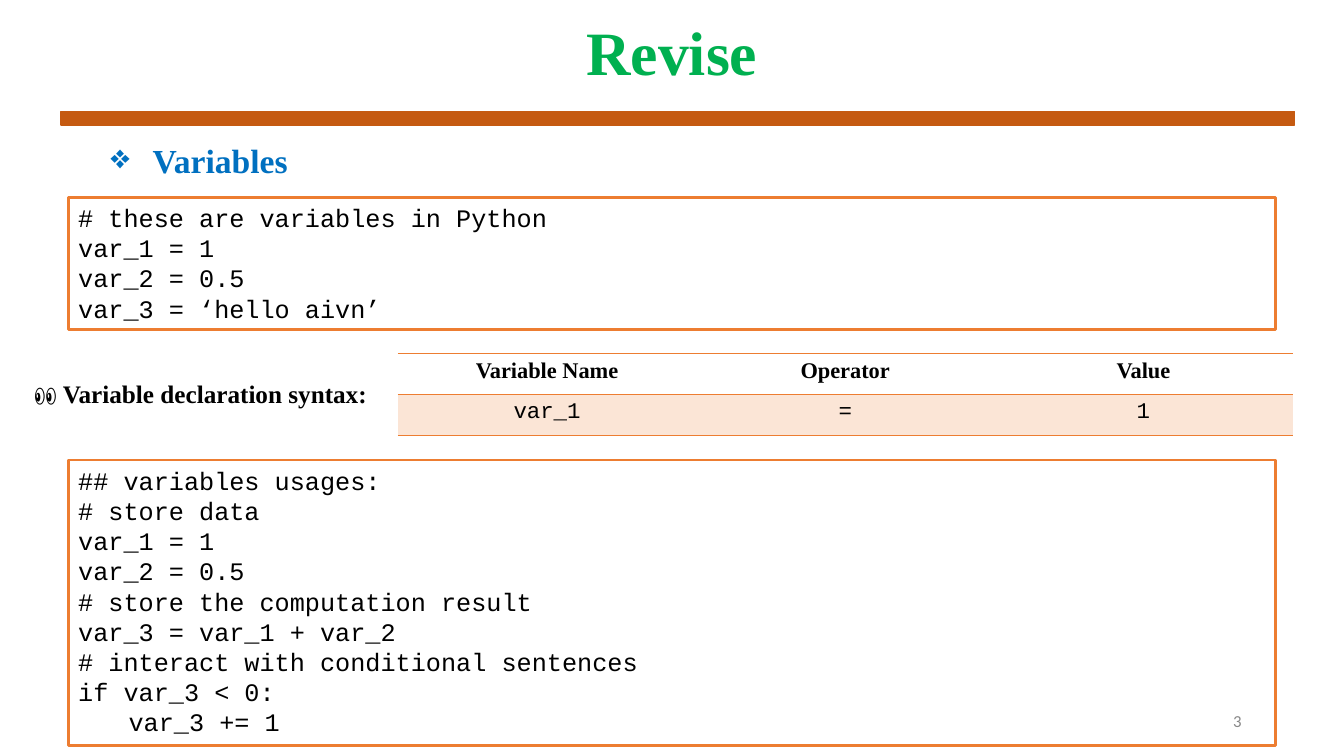
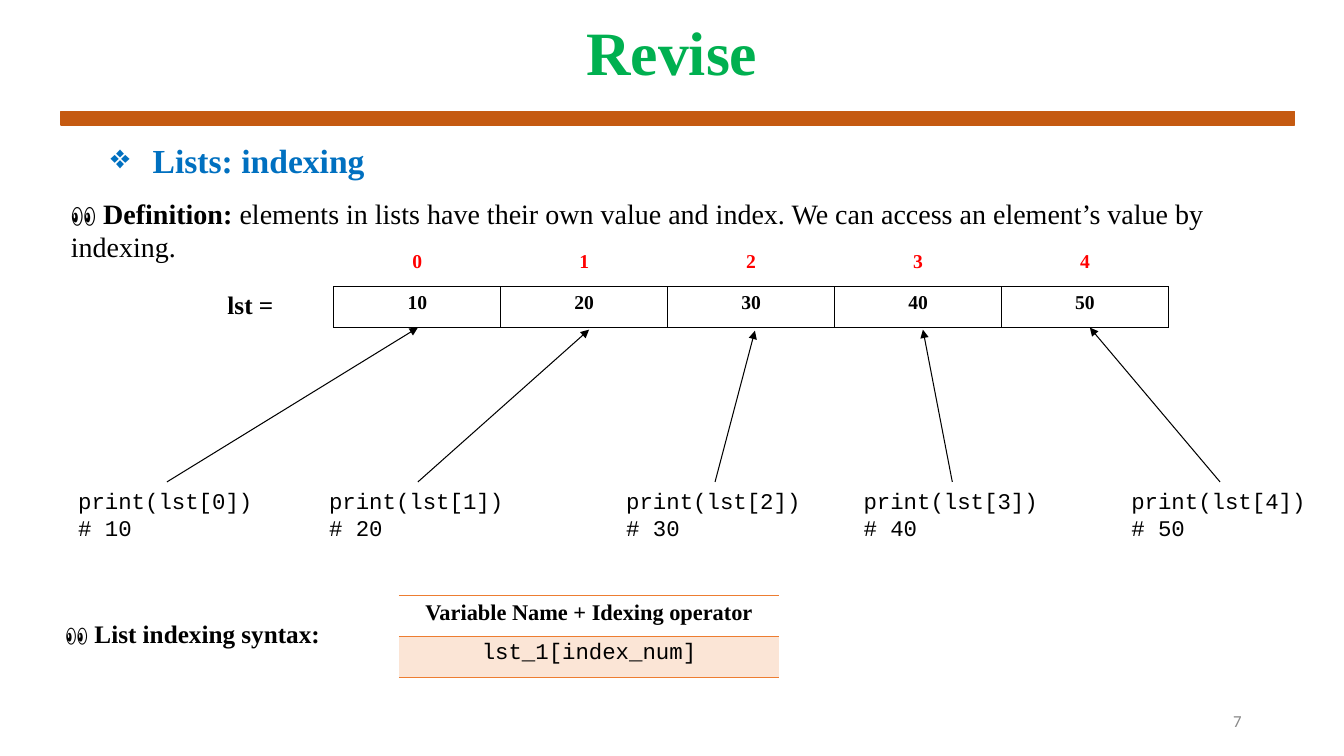
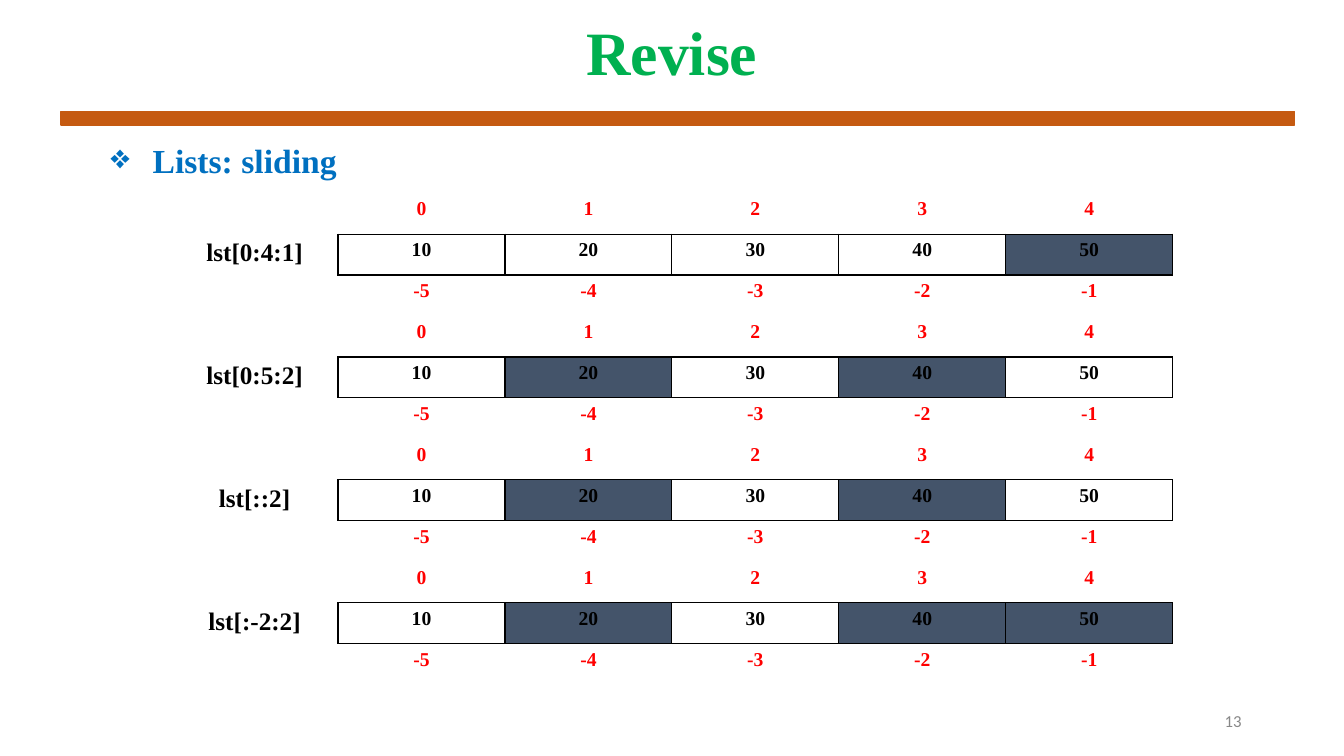
from lxml import etree
from pptx import Presentation
from pptx.dml.color import RGBColor
from pptx.enum.shapes import MSO_CONNECTOR, MSO_SHAPE
from pptx.enum.text import MSO_ANCHOR, MSO_AUTO_SIZE, PP_ALIGN
from pptx.oxml.ns import qn
from pptx.util import Emu, Pt

PX = 9525  # 96 px to the inch
SERIF, MONO, SANS = "Times New Roman", "Courier New", "Calibri"
GREEN, BLUE, BROWN, ORANGE = "00B050", "0070C0", "C55A11", "ED7D31"
PEACH, SLATE, RED, GRAY, BLACK = "FBE5D6", "44546A", "FF0000", "888888", "000000"
NO_GRID_STYLE = "{2D5ABB26-0587-4C30-8999-92F81FD0307C}"
ROW_HEIGHT = 39
LIST_COLUMN = 159
LIST_VALUES = [10, 20, 30, 40, 50]


def px(*lengths):
    return [Emu(length * PX) for length in lengths]


def rgb(color):
    return RGBColor.from_string(color)


def add_run(paragraph, text, size, font=SERIF, color=BLACK, bold=False):
    run = paragraph.add_run()
    run.text = text
    run.font.size = Pt(size)
    run.font.name = font
    run.font.bold = bold
    run.font.color.rgb = rgb(color)


def add_text(slide, box, runs, align=PP_ALIGN.LEFT, anchor=MSO_ANCHOR.TOP, spacing=None):
    """Text box with one paragraph; each run is a tuple of add_run arguments."""
    frame = slide.shapes.add_textbox(*px(*box)).text_frame
    frame.word_wrap = True
    frame.vertical_anchor = anchor
    paragraph = frame.paragraphs[0]
    paragraph.alignment = align
    if spacing:
        paragraph.line_spacing = spacing
    for run in runs:
        add_run(paragraph, *run)
    return paragraph


def add_code_lines(frame, lines, size):
    for index, line in enumerate(lines):
        paragraph = frame.add_paragraph() if index else frame.paragraphs[0]
        paragraph.alignment = PP_ALIGN.LEFT
        add_run(paragraph, line, size, MONO)


def add_code_box(slide, top, height, lines):
    shape = slide.shapes.add_shape(MSO_SHAPE.RECTANGLE, *px(65, top, 1150, height))
    shape.shadow.inherit = False
    shape.fill.background()
    shape.line.color.rgb = rgb(ORANGE)
    shape.line.width = Pt(2)
    shape.text_frame.word_wrap = True
    shape.text_frame.vertical_anchor = MSO_ANCHOR.TOP
    add_code_lines(shape.text_frame, lines, 18)


def add_bullet(paragraph, symbol, color, margin, hanging):
    properties = paragraph._p.get_or_add_pPr()
    properties.set("marL", str(margin * PX))
    properties.set("indent", str(-hanging * PX))
    bullet_color = etree.SubElement(properties, qn("a:buClr"))
    etree.SubElement(bullet_color, qn("a:srgbClr"), val=color)
    etree.SubElement(properties, qn("a:buChar"), char=symbol)


def add_base_slide(presentation, heading, number):
    """Slide with the shared title, band, page number and bulleted heading."""
    slide = presentation.slides.add_slide(presentation.slide_layouts[6])
    add_text(slide, (88, 0, 1104, 105), [("Revise", 44, SERIF, GREEN, True)],
             PP_ALIGN.CENTER, MSO_ANCHOR.MIDDLE, 0.9)
    band = slide.shapes.add_shape(MSO_SHAPE.RECTANGLE, *px(58, 106, 1175, 13))
    band.shadow.inherit = False
    band.fill.solid()
    band.fill.fore_color.rgb = rgb(BROWN)
    band.line.color.rgb = rgb(BROWN)
    band.line.width = Pt(1)
    add_text(slide, (904, 667, 288, 38), [(str(number), 12, SANS, GRAY)],
             PP_ALIGN.RIGHT, MSO_ANCHOR.MIDDLE)
    paragraph = add_text(slide, (88, 133, 1120, 76),
                         [(heading, 24, SERIF, BLUE, True)], spacing=0.9)
    add_bullet(paragraph, "❖", BLUE, 48, 40)
    return slide


def add_plain_table(slide, left, top, column_width, columns, rows):
    frame = slide.shapes.add_table(
        rows, columns, *px(left, top, column_width * columns, ROW_HEIGHT * rows))
    table = frame.table
    table.first_row = table.horz_banding = False
    table._tbl.tblPr.find(qn("a:tableStyleId")).text = NO_GRID_STYLE
    for column in table.columns:
        column.width = Emu(column_width * PX)
    for row in table.rows:
        row.height = Emu(ROW_HEIGHT * PX)
    for cell in table.iter_cells():
        cell.fill.background()
    return table


def fill_cell(cell, run, fill=None, borders="", border_color=BLACK):
    """Write one centred run; borders holds the sides to draw, out of LRTB."""
    paragraph = cell.text_frame.paragraphs[0]
    paragraph.alignment = PP_ALIGN.CENTER
    add_run(paragraph, *run)
    properties = cell._tc.get_or_add_tcPr()
    for index, side in enumerate(borders):
        line = etree.Element(qn("a:ln" + side), w=str(Pt(1)))
        solid = etree.SubElement(line, qn("a:solidFill"))
        etree.SubElement(solid, qn("a:srgbClr"), val=border_color)
        properties.insert(index, line)
    if fill:
        cell.fill.solid()
        cell.fill.fore_color.rgb = rgb(fill)


def add_syntax_table(slide, left, top, column_width, columns):
    """Header row over a tinted code row; columns are (header, code) pairs."""
    table = add_plain_table(slide, left, top, column_width, len(columns), 2)
    for index, (header, code) in enumerate(columns):
        fill_cell(table.cell(0, index), (header, 16, SERIF, BLACK, True),
                  None, "TB", ORANGE)
        fill_cell(table.cell(1, index), (code, 16, MONO), PEACH, "TB", ORANGE)


def add_list_strip(slide, left, top, label, shaded=(), negative=False):
    """List values with the index above and, if wanted, the negative one below."""
    count = len(LIST_VALUES)
    table = add_plain_table(slide, left, top, LIST_COLUMN, count + 1, 3 if negative else 2)
    fill_cell(table.cell(1, 0), (label, 18, SERIF, BLACK, True), None, "R")
    for index, value in enumerate(LIST_VALUES):
        column = index + 1
        fill_cell(table.cell(0, column), (str(index), 14, SERIF, RED, True), None, "B")
        fill_cell(table.cell(1, column), (str(value), 14, SERIF, BLACK, True),
                  SLATE if value in shaded else None, "LRTB")
        if negative:
            fill_cell(table.cell(2, column),
                      (str(index - count), 14, SERIF, RED, True), None, "T")


def add_print_call(slide, index, left, target):
    """Code label with an arrow up to the list cell it prints."""
    top, width = 459, 188
    label = slide.shapes.add_textbox(*px(left, top, width, 61))
    label.text_frame.word_wrap = False
    label.text_frame.auto_size = MSO_AUTO_SIZE.SHAPE_TO_FIT_TEXT
    add_code_lines(label.text_frame, [f"print(lst[{index}])", f"# {LIST_VALUES[index]}"], 16)
    arrow = slide.shapes.add_connector(
        MSO_CONNECTOR.STRAIGHT, *px(left + width // 2, top, *target))
    arrow.begin_connect(label, 0)
    arrow.line.color.rgb = rgb(BLACK)
    arrow.line.width = Pt(0.75)
    etree.SubElement(arrow.line._get_or_add_ln(), qn("a:tailEnd"), type="triangle")
    etree.SubElement(arrow._element.spPr, qn("a:effectLst"))


def build_variables(presentation):
    slide = add_base_slide(presentation, "Variables", 3)
    add_code_box(slide, 188, 126, [
        "# these are variables in Python",
        "var_1 = 1",
        "var_2 = 0.5",
        "var_3 = ‘hello aivn’",
    ])
    add_syntax_table(slide, 379, 337, 284, [
        ("Variable Name", "var_1"), ("Operator", "="), ("Value", "1")])
    add_text(slide, (20, 356, 342, 38),
             [("👀 Variable declaration syntax:", 18, SERIF, BLACK, True)], PP_ALIGN.CENTER)
    add_code_box(slide, 438, 272, [
        "## variables usages:",
        "# store data",
        "var_1 = 1",
        "var_2 = 0.5",
        "# store the computation result",
        "var_3 = var_1 + var_2",
        "# interact with conditional sentences",
        "if var_3 < 0:",
        "\tvar_3 += 1",
    ])


def build_indexing(presentation):
    slide = add_base_slide(presentation, "Lists: indexing", 7)
    add_list_strip(slide, 159, 234, "lst =")
    add_text(slide, (58, 182, 1158, 74), [
        ("👀 Definition: ", 20, SERIF, BLACK, True),
        ("elements in lists have their own value and index. "
         "We can access an element’s value by indexing.", 20),
    ])
    calls = [(65, (398, 312)), (304, (561, 314)), (587, (719, 315)),
             (813, (879, 314)), (1068, (1038, 312))]
    for index, (left, target) in enumerate(calls):
        add_print_call(slide, index, left, target)
    add_syntax_table(slide, 380, 567, 362,
                     [("Variable Name + Idexing operator", "lst_1[index_num]")])
    add_text(slide, (26, 584, 315, 38),
             [("👀 List indexing syntax:", 18, SERIF, BLACK, True)], PP_ALIGN.CENTER)


def build_slicing(presentation):
    slide = add_base_slide(presentation, "Lists: sliding", 13)
    strips = [("lst[0:4:1]", (50,)), ("lst[0:5:2]", (20, 40)),
              ("lst[::2]", (20, 40)), ("lst[:-2:2]", (20, 40, 50))]
    for index, (label, shaded) in enumerate(strips):
        add_list_strip(slide, 163, 184 + index * 3 * ROW_HEIGHT, label, shaded, True)


def main():
    presentation = Presentation()
    presentation.slide_width, presentation.slide_height = px(1280, 720)
    build_variables(presentation)
    build_indexing(presentation)
    build_slicing(presentation)
    presentation.save("out.pptx")


if __name__ == "__main__":
    main()
